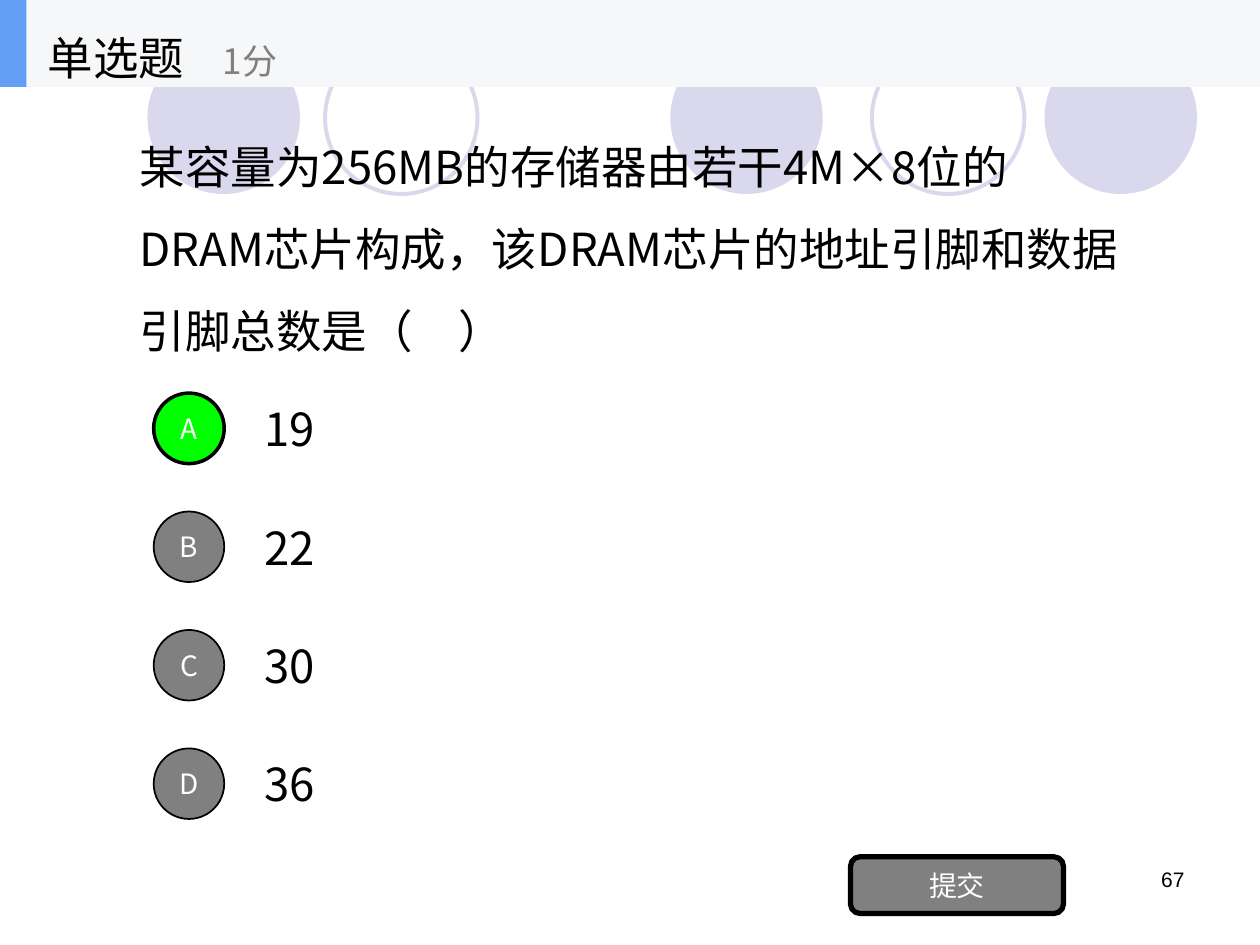
"""Build a single-choice quiz slide about DRAM chip pins."""
from lxml import etree
from pptx import Presentation
from pptx import util as u
from pptx.dml.color import RGBColor
from pptx.enum import shapes, text
from pptx.oxml.ns import qn

INK = {"black": "000000", "white": "FFFFFF", "gray": "808080", "green": "00FF00",
       "lilac": "D9D8EC", "band": "F6F7F8", "blue": "639EF4"}
KIND = shapes.MSO_SHAPE
SIDE = text.PP_ALIGN


class Quiz:
    def __init__(self, slide, font):
        self.slide = slide
        self.font = font

    def color(self, name):
        return RGBColor.from_string(INK[name])

    def letter(self, shape, words, size, ink="black", align=SIDE.LEFT,
               lead=1.0, font=None, anchor=text.MSO_ANCHOR.MIDDLE):
        frame = shape.text_frame
        frame.text = words
        frame.word_wrap = True
        frame.auto_size = text.MSO_AUTO_SIZE.NONE
        frame.vertical_anchor = anchor
        para = frame.paragraphs[0]
        para.alignment = align
        para.line_spacing = lead
        run = para.runs[0]
        run.font.size = u.Pt(size)
        run.font.color.rgb = self.color(ink)
        run.font.name = font or self.font
        east = etree.SubElement(run._r.get_or_add_rPr(), qn("a:ea"))
        east.set("typeface", font or self.font)

    def label(self, words, box, size, **style):
        shape = self.slide.shapes.add_textbox(*map(u.Inches, box))
        self.letter(shape, words, size, **style)

    def title(self, words, box, size, **style):
        shape = self.slide.shapes.title
        shape.left, shape.top, shape.width, shape.height = map(u.Inches, box)
        self.letter(shape, words, size, **style)
        self.slide.shapes._spTree.append(shape._element)

    def shape(self, kind, box, fill=None, line=None, width=1):
        shape = self.slide.shapes.add_shape(kind, *map(u.Inches, box))
        shape.shadow.inherit = False
        if fill:
            shape.fill.solid()
            shape.fill.fore_color.rgb = self.color(fill)
        else:
            shape.fill.background()
        if line:
            shape.line.color.rgb = self.color(line)
            shape.line.width = u.Pt(width)
        else:
            shape.line.fill.background()
        return shape

    def button(self, kind, words, box, fill, width):
        shape = self.shape(kind, box, fill, "black", width)
        self.letter(shape, words, 16, "white", SIDE.CENTER)


def main():
    deck = Presentation()
    deck.slide_width, deck.slide_height = u.Inches(10), u.Inches(7.5)
    quiz = Quiz(deck.slides.add_slide(deck.slide_layouts[5]), "Noto Sans CJK SC")

    for left in (1.17, 5.32, 8.29):
        quiz.shape(KIND.OVAL, (left, 0.33, 1.21, 1.21), "lilac")
    for left in (2.58, 6.92):
        quiz.shape(KIND.OVAL, (left, 0.33, 1.21, 1.21), None, "lilac", 2.25)

    quiz.label("67", (7.17, 6.83, 2.33, 0.5), 12, align=SIDE.RIGHT,
               font="Arial", anchor=text.MSO_ANCHOR.TOP)
    quiz.label("某容量为256MB的存储器由若干4M×8位的DRAM芯片构成，"
               "该DRAM芯片的地址引脚和数据引脚总数是（　）",
               (1.01, 0.69, 8, 2.34), 26, lead=1.5)

    right = "A"
    for row, (key, value) in enumerate(zip("ABCD", ("19", "22", "30", "36"))):
        top = 3.05 + row * 0.94
        quiz.label(value, (2, top, 7, 0.7), 26)
        fill, width = ("green", 2) if key == right else ("gray", 1)
        quiz.button(KIND.OVAL, key, (1.22, top + 0.07, 0.56, 0.56), fill, width)
    quiz.button(KIND.ROUNDED_RECTANGLE, "提交", (6.75, 6.8, 1.69, 0.45), "gray", 3)

    quiz.shape(KIND.RECTANGLE, (0, 0, 10, 0.69), "band")
    quiz.shape(KIND.RECTANGLE, (0, 0, 0.21, 0.69), "blue")
    quiz.title("单选题", (0.28, 0, 2.08, 0.69), 26, lead=1.5)
    quiz.label("1分", (1.67, 0.12, 2.5, 0.56), 20, ink="gray", lead=1.5)
    deck.save("out.pptx")


if __name__ == "__main__":
    main()
